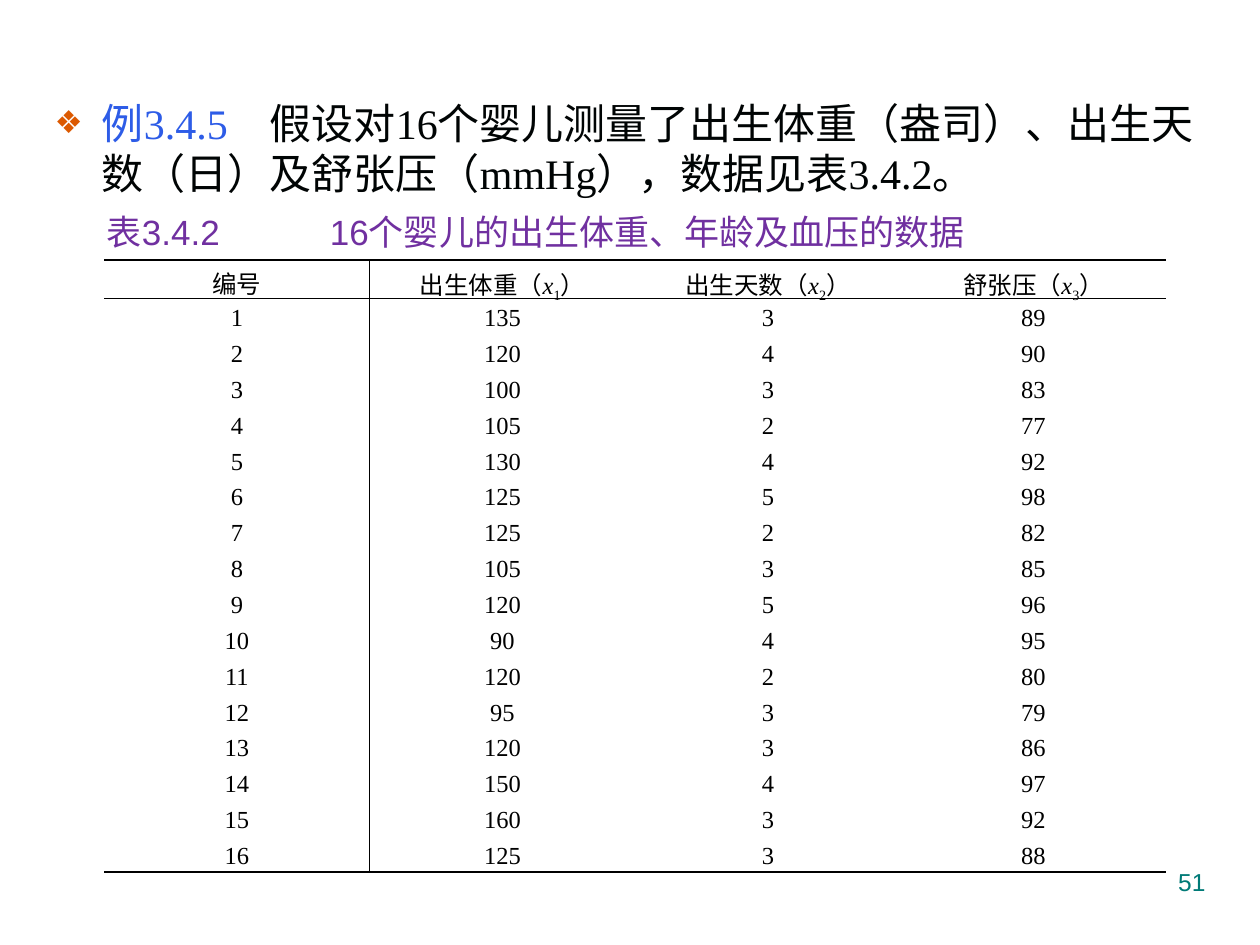
"""Builds the slide with the table of sixteen infants."""
from dataclasses import dataclass

from lxml.etree import SubElement
from pptx import Presentation
from pptx.dml.color import RGBColor as Rgb
from pptx.enum.text import MSO_ANCHOR as Anchor, MSO_AUTO_SIZE as AutoSize, PP_ALIGN as Align
from pptx.oxml.ns import qn
from pptx.util import Pt


@dataclass(frozen=True)
class Theme:
    """Colours, fonts and type sizes of the slide."""
    serif: str = "Times New Roman"
    sans: str = "Arial"
    ink: str = "000000"
    body_ink: str = "000404"
    label: str = "2D5CE7"
    bullet: str = "DC5900"
    caption: str = "7030A0"
    number: str = "007A77"
    body_size: int = 24
    caption_size: int = 20
    small_size: int = 14


THEME = Theme()
HEADERS = [("编号", ""), ("出生体重", "1"), ("出生天数", "2"), ("舒张压", "3")]
INFANTS = [
    (135, 3, 89), (120, 4, 90), (100, 3, 83), (105, 2, 77),
    (130, 4, 92), (125, 5, 98), (125, 2, 82), (105, 3, 85),
    (120, 5, 96), (90, 4, 95), (120, 2, 80), (95, 3, 79),
    (120, 3, 86), (150, 4, 97), (160, 3, 92), (125, 3, 88),
]


def add_span(para, text, *, font=THEME.serif, size=THEME.small_size,
             color=THEME.ink, italic=False, subscript=False):
    """Add one formatted run of text to a paragraph."""
    span = para.add_run()
    span.text = text
    span.font.name = font
    span.font.size = Pt(size)
    span.font.italic = italic
    span.font.color.rgb = Rgb.from_string(color)
    if subscript:
        span.font._element.set("baseline", "-25000")


def add_child(parent, tag, **attributes):
    """Add a DrawingML element with attributes."""
    return SubElement(parent, qn(f"a:{tag}"), attributes)


def set_bullet(para, char, color):
    """Give a paragraph a hanging coloured bullet."""
    props = para._p.get_or_add_pPr()
    props.set("marL", str(Pt(27)))
    props.set("indent", str(-Pt(27)))
    add_child(add_child(props, "buClr"), "srgbClr", val=color)
    add_child(props, "buSzPct", val="75000")
    add_child(props, "buFont", typeface=THEME.sans)
    add_child(props, "buChar", char=char)


def set_tab(para, position):
    """Set a left tab stop."""
    tabs = add_child(para._p.get_or_add_pPr(), "tabLst")
    add_child(tabs, "tab", pos=str(position), algn="l")


def add_body(page):
    """Fill the body placeholder with the example."""
    box = page.placeholders[1]
    box.left, box.top, box.width, box.height = Pt(24), Pt(52), Pt(672), Pt(428)
    box.text_frame.auto_size = AutoSize.NONE
    para = box.text_frame.paragraphs[0]
    para.space_before = Pt(4.8)
    set_bullet(para, "❖", THEME.bullet)
    add_span(para, "例3.4.5\u3000", size=THEME.body_size, color=THEME.label)
    add_span(para, "假设对16个婴儿测量了出生体重（盎司）、出生天数（日）及舒张压（mmHg），数据见表3.4.2。",
             size=THEME.body_size, color=THEME.body_ink)


def add_label(page, text, left, top, width, height, *, align=Align.LEFT, **style):
    """Add a text box of one line and return its paragraph."""
    box = page.shapes.add_textbox(left, top, width, height)
    box.text_frame.word_wrap = True
    para = box.text_frame.paragraphs[0]
    para.alignment = align
    add_span(para, text, font=THEME.sans, **style)
    return para


def set_borders(cell, sides):
    """Rule the named sides of a cell and clear the others."""
    props = cell._tc.get_or_add_tcPr()
    for side in "LRTB":
        line = add_child(props, f"ln{side}", w=str(Pt(1)))
        if side in sides:
            add_child(add_child(line, "solidFill"), "srgbClr", val=THEME.ink)
        else:
            add_child(line, "noFill")


def format_cell(cell, sides):
    """Format a cell and return its paragraph."""
    cell.margin_left = cell.margin_right = Pt(5)
    cell.margin_top = cell.margin_bottom = 0
    cell.vertical_anchor = Anchor.MIDDLE
    set_borders(cell, sides)
    cell.fill.background()
    para = cell.text_frame.paragraphs[0]
    para.alignment = Align.CENTER
    para.line_spacing = 1.15
    return para


def add_header(para, name, index):
    """Write a column heading with its variable, if any."""
    if not index:
        add_span(para, name)
        return
    add_span(para, f"{name}（")
    add_span(para, "x", italic=True)
    add_span(para, index, subscript=True)
    add_span(para, "）")


def add_infant_table(page):
    """Add the ruled table of measurements."""
    last = len(INFANTS)
    frame = page.shapes.add_table(last + 1, len(HEADERS), Pt(59.5), Pt(148.5),
                                  Pt(607), Pt(20.5) * (last + 1))
    table = frame.table
    table.first_row = table.horz_banding = False
    rows = [HEADERS] + [(number, *values) for number, values in enumerate(INFANTS, 1)]
    for row, values in enumerate(rows):
        table.rows[row].height = Pt(20.5)
        edges = {0: "TB", 1: "T", last: "B"}.get(row, "")
        for column, value in enumerate(values):
            sides = edges + {0: "R", 1: "L"}.get(column, "")
            para = format_cell(table.cell(row, column), sides)
            if row == 0:
                add_header(para, *value)
            else:
                add_span(para, str(value))


def main():
    """Build and save the deck."""
    deck = Presentation()
    deck.slide_width, deck.slide_height = Pt(720), Pt(540)
    page = deck.slides.add_slide(deck.slide_layouts[1])
    title = page.shapes.title._element
    title.getparent().remove(title)
    add_body(page)
    add_label(page, "51", Pt(516), Pt(492), Pt(180), Pt(37),
              align=Align.RIGHT, color=THEME.number)
    caption = add_label(page, "表3.4.2\t16个婴儿的出生体重、年龄及血压的数据",
                        Pt(54), Pt(117), Pt(535), Pt(31.5),
                        size=THEME.caption_size, color=THEME.caption)
    set_tab(caption, Pt(127.5))
    add_infant_table(page)
    deck.save("out.pptx")


main()
